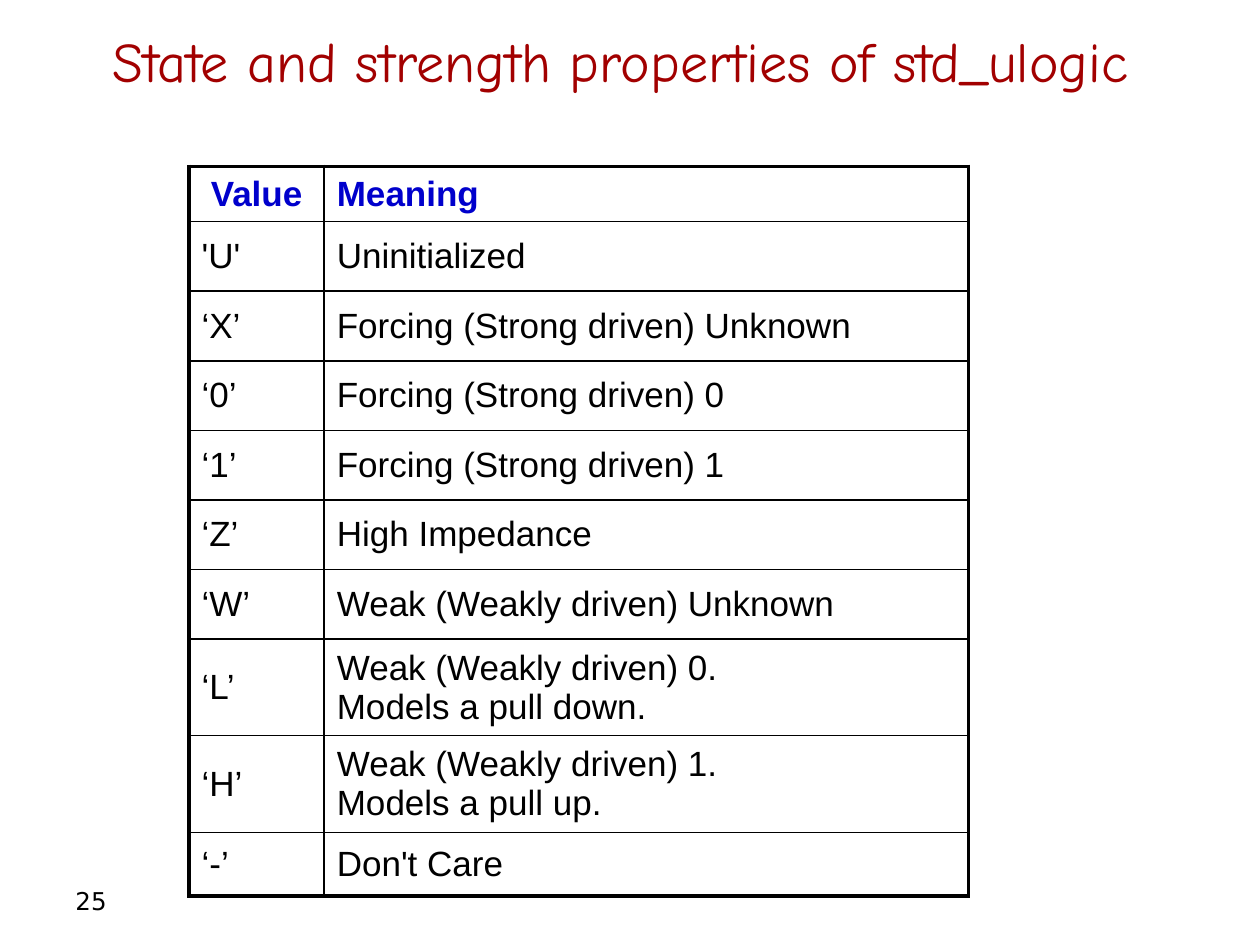
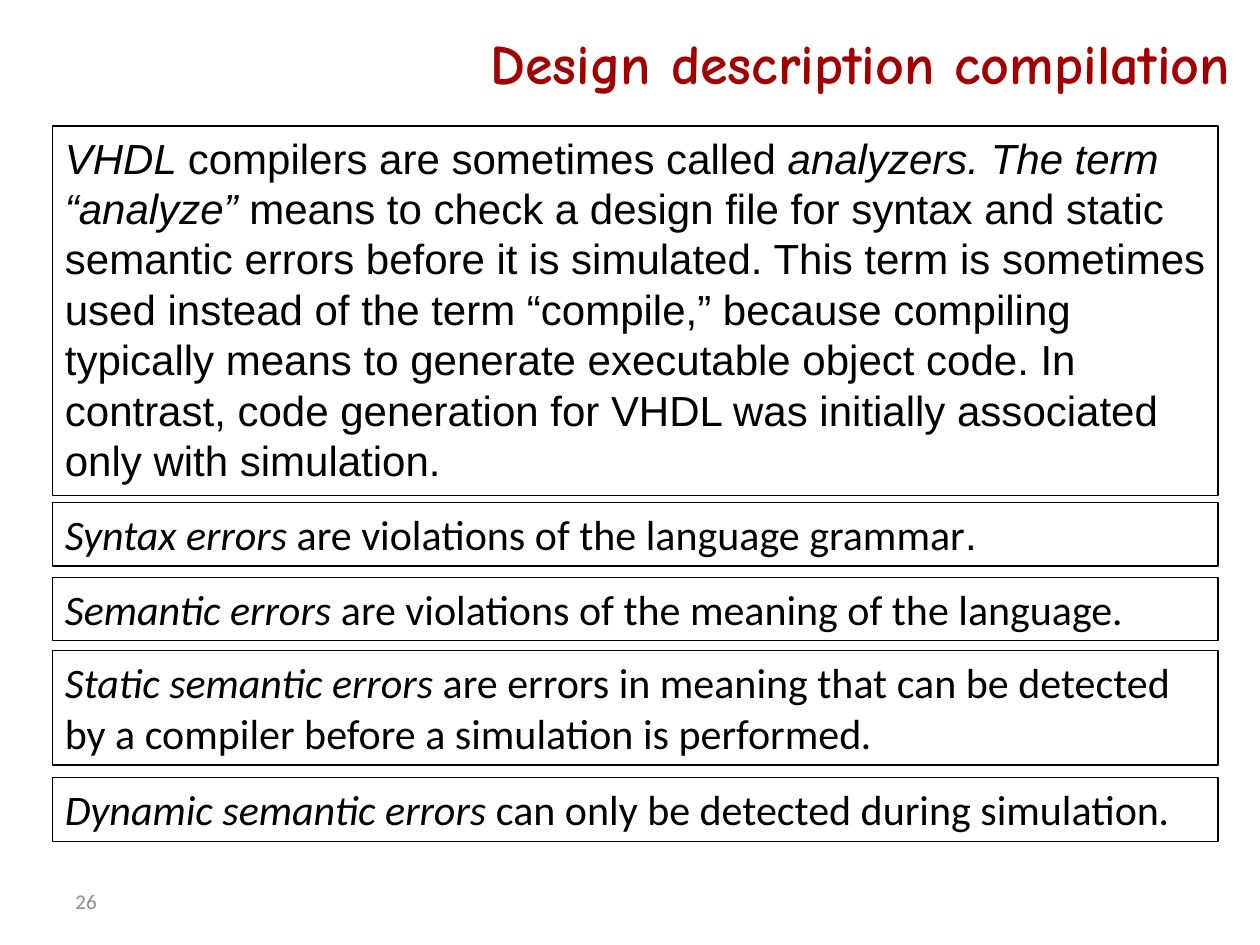
"""Build two slides on std_ulogic values and design description compilation."""
from lxml import etree
from pptx import Presentation, util as u
from pptx.dml.color import RGBColor
from pptx.enum import shapes, text
from pptx.oxml import ns

Pt = u.Pt
RED, BLUE, BLACK, GREY = "A20000", "0000CC", "000000", "8C8C8C"
LEFT, MID, RIGHT = text.PP_ALIGN.LEFT, text.PP_ALIGN.CENTER, text.PP_ALIGN.RIGHT


def write(frame, runs, font="Arial", size=20, color=BLACK, bold=False, align=LEFT,
          anchor=text.MSO_ANCHOR.MIDDLE):
    """Fill a frame with runs given as (words, italic) or (words, italic, font)."""
    if isinstance(runs, str):
        runs = [(runs, False)]
    frame.word_wrap = True
    frame.vertical_anchor = anchor
    para = frame.paragraphs[0]
    para.alignment = align
    for words, slant, *face in runs:
        for i, line in enumerate(words.split("\n")):
            if i:
                para.add_line_break()
            run = para.add_run()
            run.text = line
            run.font.name = face[0] if face else font
            run.font.size = Pt(size)
            run.font.bold = bold
            run.font.italic = slant
            run.font.color.rgb = RGBColor.from_string(color)


def edge(cell, side, width):
    """Draw one black border of a cell."""
    line = etree.SubElement(cell._tc.get_or_add_tcPr(), ns.qn(f"a:ln{side}"), w=str(Pt(width)))
    fill = etree.SubElement(line, ns.qn("a:solidFill"))
    etree.SubElement(fill, ns.qn("a:srgbClr"), val=BLACK)


deck = Presentation()
deck.slide_width, deck.slide_height = Pt(720), Pt(540)

heads = [
    ("State and strength properties of std_ulogic ", (0, 8.64, 720, 51.1), MID, False,
     "25", "DejaVu Sans", 14, BLACK),
    ("Design description compilation", (33.1, 10.1, 677.5, 50.4), RIGHT, True,
     "26", "Calibri", 12, GREY),
]
pages = []
for name, box, align, bold, num, font, size, color in heads:
    page = deck.slides.add_slide(deck.slide_layouts[5])
    title = page.shapes.title
    title.left, title.top, title.width, title.height = map(Pt, box)
    title.text_frame.auto_size = text.MSO_AUTO_SIZE.NONE
    write(title.text_frame, name, font="Comic Neue", size=32, color=RED, bold=bold, align=align)
    foot = page.shapes.add_textbox(Pt(36), Pt(500.5), Pt(168), Pt(28.8))
    write(foot.text_frame, num, font=font, size=size, color=color)
    pages.append(page)

rows = [
    ("Value", "Meaning", 31.7),
    ("'U'", "Uninitialized", 39.75),
    ("‘X’", "Forcing (Strong driven) Unknown", 39.75),
    ("‘0’", "Forcing (Strong driven) 0", 39.75),
    ("‘1’", "Forcing (Strong driven) 1", 39.75),
    ("‘Z’", "High Impedance", 39.75),
    ("‘W’", "Weak (Weakly driven) Unknown", 39.75),
    ("‘L’", "Weak (Weakly driven) 0.\nModels a pull down.", 55.2),
    ("‘H’", "Weak (Weakly driven) 1. \nModels a pull up.", 55.2),
    ("‘-’", "Don't Care", 36.5),
]
high = sum(row[2] for row in rows)
grid = pages[0].shapes.add_table(len(rows), 2, Pt(108), Pt(95), Pt(445.3), Pt(high)).table
grid.first_row = grid.horz_banding = False
grid.columns[0].width, grid.columns[1].width = Pt(77.3), Pt(368)
for r, (value, sense, tall) in enumerate(rows):
    grid.rows[r].height = Pt(tall)
    for c, words in enumerate((value, sense)):
        cell = grid.cell(r, c)
        write(cell.text_frame, words, color=BLACK if r else BLUE, bold=r == 0,
              align=MID if r == c == 0 else LEFT)
        cell.vertical_anchor = text.MSO_ANCHOR.MIDDLE
        outer = {"L": c == 0, "R": c == 1, "T": r == 0, "B": r == len(rows) - 1}
        for side, thick in outer.items():
            edge(cell, side, 2.25 if thick else 1)
        cell.fill.background()

notes = [
    (72, 211, "Arial", [
        ("VHDL ", True), ("compilers are sometimes called ", False),
        ("analyzers. The term “analyze” ", True),
        ("means to check a design file for syntax and static semantic errors before it is "
         "simulated. This term is sometimes used instead of the term “compile,” because "
         "compiling typically means to generate executable object code. In contrast, code "
         "generation for VHDL was initially associated only with simulation.", False)]),
    (287.1, 36.3, "Calibri", [
        ("Syntax errors ", True), ("are violations of the language grammar", False),
        (".", False, "Arial")]),
    (329.8, 36.3, "Calibri", [
        ("Semantic errors ", True), ("are violations of the meaning of the language", False),
        (".", True)]),
    (371.8, 65.4, "Calibri", [
        ("Static semantic errors ", True),
        ("are errors in meaning that can be detected by a compiler before a simulation "
         "is performed", False), (".", True)]),
    (444.4, 36.3, "Calibri", [
        ("Dynamic semantic errors ", True),
        ("can only be detected during simulation", False), (".", True)]),
]
for top, tall, font, runs in notes:
    box = pages[1].shapes.add_shape(shapes.MSO_SHAPE.RECTANGLE, Pt(30), Pt(top), Pt(666), Pt(tall))
    box.shadow.inherit = False
    box.fill.background()
    box.line.color.rgb = RGBColor.from_string(BLACK)
    box.line.width = Pt(0.75)
    write(box.text_frame, runs, font=font, size=24, anchor=text.MSO_ANCHOR.TOP)
    box.text_frame.auto_size = text.MSO_AUTO_SIZE.SHAPE_TO_FIT_TEXT

deck.save("out.pptx")
